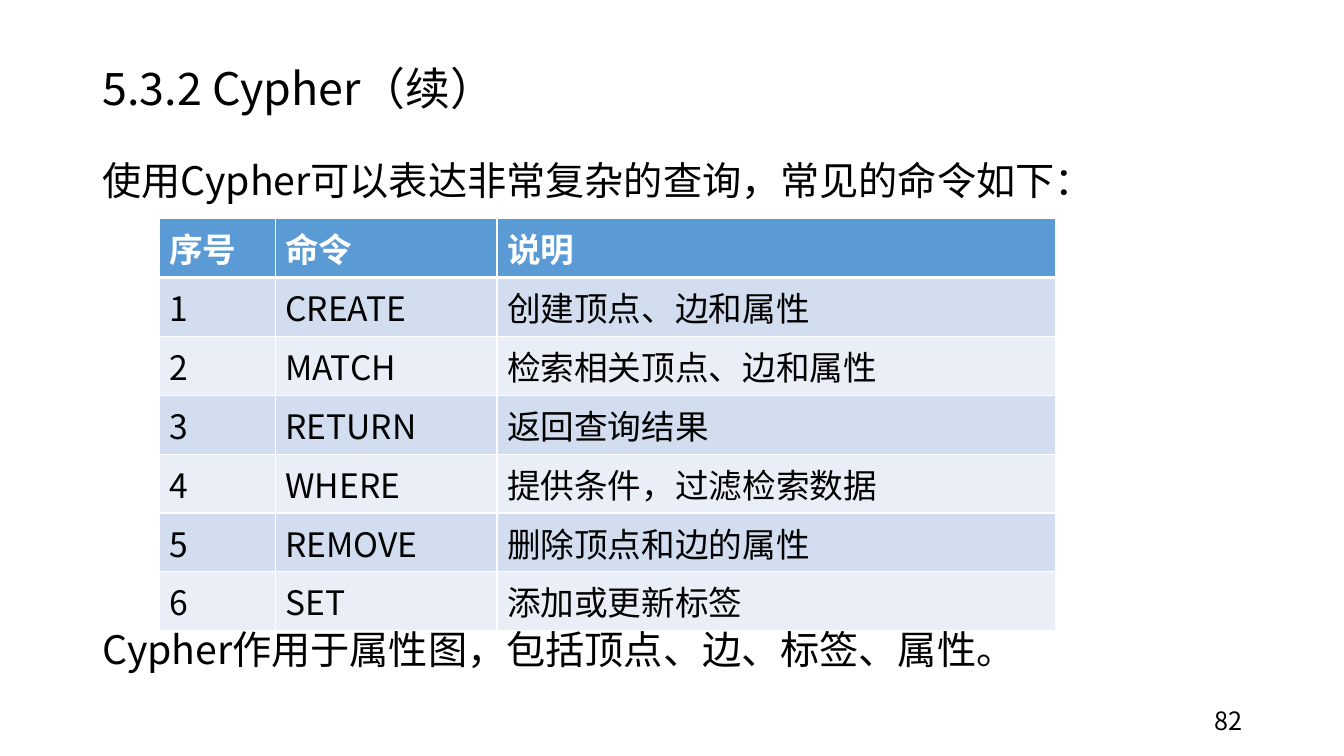
"""Build the slide that lists common Cypher commands."""
from dataclasses import dataclass

import pptx
import pptx.dml.color
import pptx.enum.text
import pptx.oxml
import pptx.oxml.ns
import pptx.slide
import pptx.table
import pptx.text.text
import pptx.util
from pptx.dml.color import RGBColor
from pptx.enum.text import MSO_ANCHOR, PP_ALIGN
from pptx.util import Inches

FONT_NAME = "Noto Sans CJK SC"
BLACK = RGBColor(0x00, 0x00, 0x00)
WHITE = RGBColor(0xFF, 0xFF, 0xFF)
HEADER_BLUE = RGBColor(0x5B, 0x9B, 0xD5)
BAND_DARK = RGBColor(0xD2, 0xDE, 0xEF)
BAND_LIGHT = RGBColor(0xEA, 0xEF, 0xF7)


@dataclass(frozen=True)
class TextBlock:
    text: str
    left: float
    top: float
    width: float
    height: float
    size: int
    line_spacing: float = 1.0
    anchor: MSO_ANCHOR = MSO_ANCHOR.TOP
    alignment: PP_ALIGN = PP_ALIGN.LEFT


@dataclass(frozen=True)
class Command:
    name: str
    description: str


TEXT_BLOCKS = [
    TextBlock("5.3.2 Cypher（续）", 0.92, 0.4, 11.5, 1.01, 32, 0.9, MSO_ANCHOR.MIDDLE),
    TextBlock("使用Cypher可以表达非常复杂的查询，常见的命令如下：", 0.92, 1.41, 11.5, 0.77, 28, 1.2),
    TextBlock("Cypher作用于属性图，包括顶点、边、标签、属性。", 0.92, 6.06, 11.5, 0.77, 28, 1.2),
    TextBlock("82", 9.42, 6.95, 3, 0.4, 18, anchor=MSO_ANCHOR.MIDDLE, alignment=PP_ALIGN.RIGHT),
]
HEADINGS = ("序号", "命令", "说明")
COMMANDS = [
    Command("CREATE", "创建顶点、边和属性"),
    Command("MATCH", "检索相关顶点、边和属性"),
    Command("RETURN", "返回查询结果"),
    Command("WHERE", "提供条件，过滤检索数据"),
    Command("REMOVE", "删除顶点和边的属性"),
    Command("SET", "添加或更新标签"),
]
COLUMN_WIDTHS = (1.15, 2.2, 5.54)
ROW_HEIGHT = 0.41


def format_runs(paragraph: pptx.text.text._Paragraph, size: int,
                color: RGBColor, bold: bool = False) -> None:
    for run in paragraph.runs:
        run.font.name = FONT_NAME
        run.font.size = pptx.util.Pt(size)
        run.font.bold = bold
        run.font.color.rgb = color
        latin = run.font._element.find(pptx.oxml.ns.qn("a:latin"))
        east_asian = pptx.oxml.parse_xml(
            f'<a:ea {pptx.oxml.ns.nsdecls("a")} typeface="{FONT_NAME}"/>')
        latin.addnext(east_asian)


def add_text_block(slide: pptx.slide.Slide, block: TextBlock) -> None:
    shape = slide.shapes.add_textbox(Inches(block.left), Inches(block.top),
                                     Inches(block.width), Inches(block.height))
    text_frame = shape.text_frame
    text_frame.word_wrap = True
    text_frame.vertical_anchor = block.anchor
    text_frame.text = block.text
    paragraph = text_frame.paragraphs[0]
    paragraph.alignment = block.alignment
    paragraph.line_spacing = block.line_spacing
    format_runs(paragraph, block.size, BLACK)


def set_borders(cell: pptx.table._Cell, top: float, bottom: float) -> None:
    properties = cell._tc.get_or_add_tcPr()
    widths = {"lnL": 1, "lnR": 1, "lnT": top, "lnB": bottom}
    for position, (side, width) in enumerate(widths.items()):
        border = pptx.oxml.parse_xml(
            f'<a:{side} {pptx.oxml.ns.nsdecls("a")} w="{pptx.util.Pt(width)}">'
            f'<a:solidFill><a:srgbClr val="{WHITE}"/></a:solidFill></a:{side}>')
        properties.insert(position, border)


def add_command_table(slide: pptx.slide.Slide) -> None:
    rows = [HEADINGS] + [(str(number), command.name, command.description)
                         for number, command in enumerate(COMMANDS, start=1)]
    table = slide.shapes.add_table(
        len(rows), len(HEADINGS), Inches(1.58), Inches(2.17),
        Inches(sum(COLUMN_WIDTHS)), Inches(ROW_HEIGHT * len(rows))).table
    for column, width in zip(table.columns, COLUMN_WIDTHS):
        column.width = Inches(width)
    for row_index, values in enumerate(rows):
        is_header = row_index == 0
        band = BAND_DARK if row_index % 2 else BAND_LIGHT
        for column_index, value in enumerate(values):
            cell = table.cell(row_index, column_index)
            cell.text_frame.text = value
            format_runs(cell.text_frame.paragraphs[0], 24,
                        WHITE if is_header else BLACK, is_header)
            cell.fill.solid()
            cell.fill.fore_color.rgb = HEADER_BLUE if is_header else band
            set_borders(cell, top=3 if row_index == 1 else 1, bottom=3 if is_header else 1)


def main() -> None:
    presentation = pptx.Presentation()
    presentation.slide_width = Inches(13.33)
    presentation.slide_height = Inches(7.5)
    slide = presentation.slides.add_slide(presentation.slide_layouts[6])
    add_command_table(slide)
    for block in TEXT_BLOCKS:
        add_text_block(slide, block)
    presentation.save("out.pptx")


if __name__ == "__main__":
    main()
